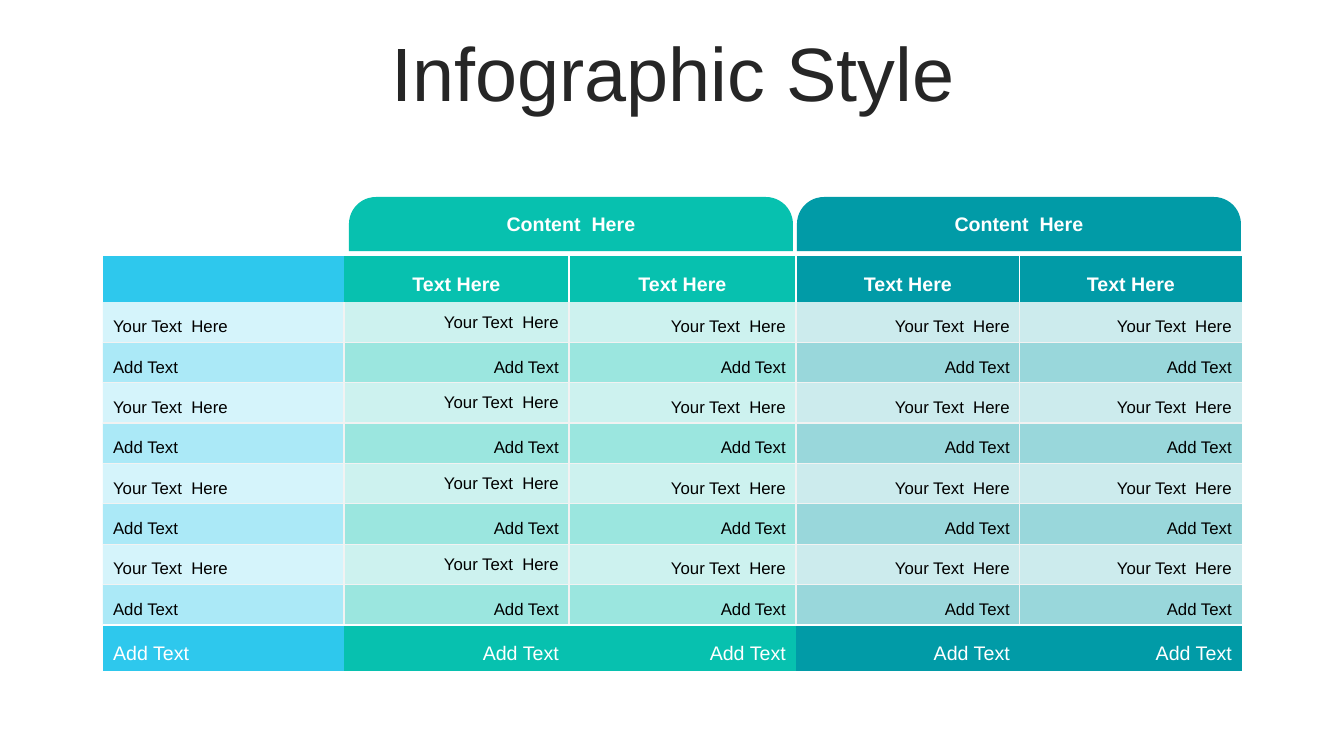
"""Build the slide "Infographic Style": a banded table under two rounded tabs."""
from lxml.etree import SubElement as Sub
from pptx import Presentation
from pptx.dml.color import RGBColor as RGB
from pptx.enum.shapes import MSO_SHAPE as Shape
from pptx.enum.text import MSO_ANCHOR as Anchor, MSO_AUTO_SIZE as Fit, PP_ALIGN as Align
from pptx.oxml.ns import qn
from pptx.util import Pt

PX = 914400 / 100.8
HUES = {"sky": "2EC8ED", "mint": "07C1AF", "teal": "019BA7",
        "dark": "262626", "black": "000000", "white": "FFFFFF", "pale": "F2F2F2"}


def px(*nums):
    return [round(n * PX) for n in nums]


def write(para, text, size, hue, bold=False, align=Align.CENTER, lead=1.0):
    para.alignment = align
    para.line_spacing = lead
    run = para.add_run()
    run.text = text
    run.font.name = "Arial"
    run.font.size = Pt(size)
    run.font.bold = bold
    run.font.color.rgb = RGB.from_string(HUES[hue])


deck = Presentation()
deck.slide_width, deck.slide_height = px(1344, 756)
slide = deck.slides.add_slide(deck.slide_layouts[6])
shapes = slide.shapes

title = shapes.add_textbox(*px(35, 37, 1276, 80)).text_frame
title.word_wrap = True
title.vertical_anchor = Anchor.MIDDLE
write(title.paragraphs[0], "Infographic Style", 54, "dark", lead=0.9)

widths = [241, 225, 227, 224, 222]
heights = [46] + [40] * 8 + [46]
hues = ["sky", "mint", "mint", "teal", "teal"]
last = len(heights) - 1

grid = shapes.add_table(len(heights), len(widths),
                        *px(103, 256, sum(widths), sum(heights))).table
grid.first_row = grid.horz_banding = False
for col, width in zip(grid.columns, px(*widths)):
    col.width = width
for row, height in zip(grid.rows, px(*heights)):
    row.height = height

for r in range(len(heights)):
    head, foot = r == 0, r == last
    body = not head and not foot
    odd = r % 2 == 1
    for c, hue in enumerate(hues):
        cell = grid.cell(r, c)
        cell.vertical_anchor = Anchor.MIDDLE
        cell.fill.solid()
        cell.fill.fore_color.rgb = RGB.from_string(HUES[hue])
        props = cell._tc.tcPr
        if body:
            tint = props.find(".//" + qn("a:srgbClr"))
            Sub(tint, qn("a:alpha"), val="20000" if odd else "40000")

        para = cell.text_frame.paragraphs[0]
        side = Align.RIGHT if c else Align.LEFT
        if head and c:
            write(para, "Text Here", 14, "white", True, lead=1.5)
        elif foot:
            write(para, "Add Text", 14, "white", align=side, lead=1.5)
        elif body and odd:
            write(para, "Your Text  Here", 12, "black", align=side,
                  lead=1.0 if c == 1 else 1.5)
        elif body:
            write(para, "Add Text", 12, "black", align=side, lead=1.5)

        rules = []
        for edge in (c, c + 1):
            if body and 0 < edge < len(hues):
                rules.append(("pale", 1))
            elif head and 1 < edge < len(hues):
                rules.append(("white", 1))
            else:
                rules.append(None)
        for edge in (r, r + 1):
            if edge == last:
                rules.append(("white", 1.5))
            else:
                rules.append(("pale", 1) if 1 < edge < last else None)
        for spot, (tag, rule) in enumerate(zip(("lnL", "lnR", "lnT", "lnB"), rules)):
            line = Sub(props, qn("a:" + tag))
            if rule:
                line.set("w", str(Pt(rule[1])))
                Sub(Sub(line, qn("a:solidFill")), qn("a:srgbClr"), val=HUES[rule[0]])
            else:
                line.set("w", "0")
                Sub(line, qn("a:noFill"))
            props.insert(spot, line)

for left, hue in ((349, "mint"), (797, "teal")):
    tab = shapes.add_shape(Shape.ROUND_2_SAME_RECTANGLE, *px(left, 197, 444, 54))
    tab.adjustments[0] = 0.5
    tab.adjustments[1] = 0
    tab.shadow.inherit = False
    tab.fill.solid()
    tab.fill.fore_color.rgb = RGB.from_string(HUES[hue])
    tab.line.fill.background()

    label = shapes.add_textbox(*px(left + 89, 207, 266, 34)).text_frame
    label.word_wrap = True
    label.auto_size = Fit.SHAPE_TO_FIT_TEXT
    write(label.paragraphs[0], "Content  Here", 14, "white", True)

deck.save("out.pptx")
